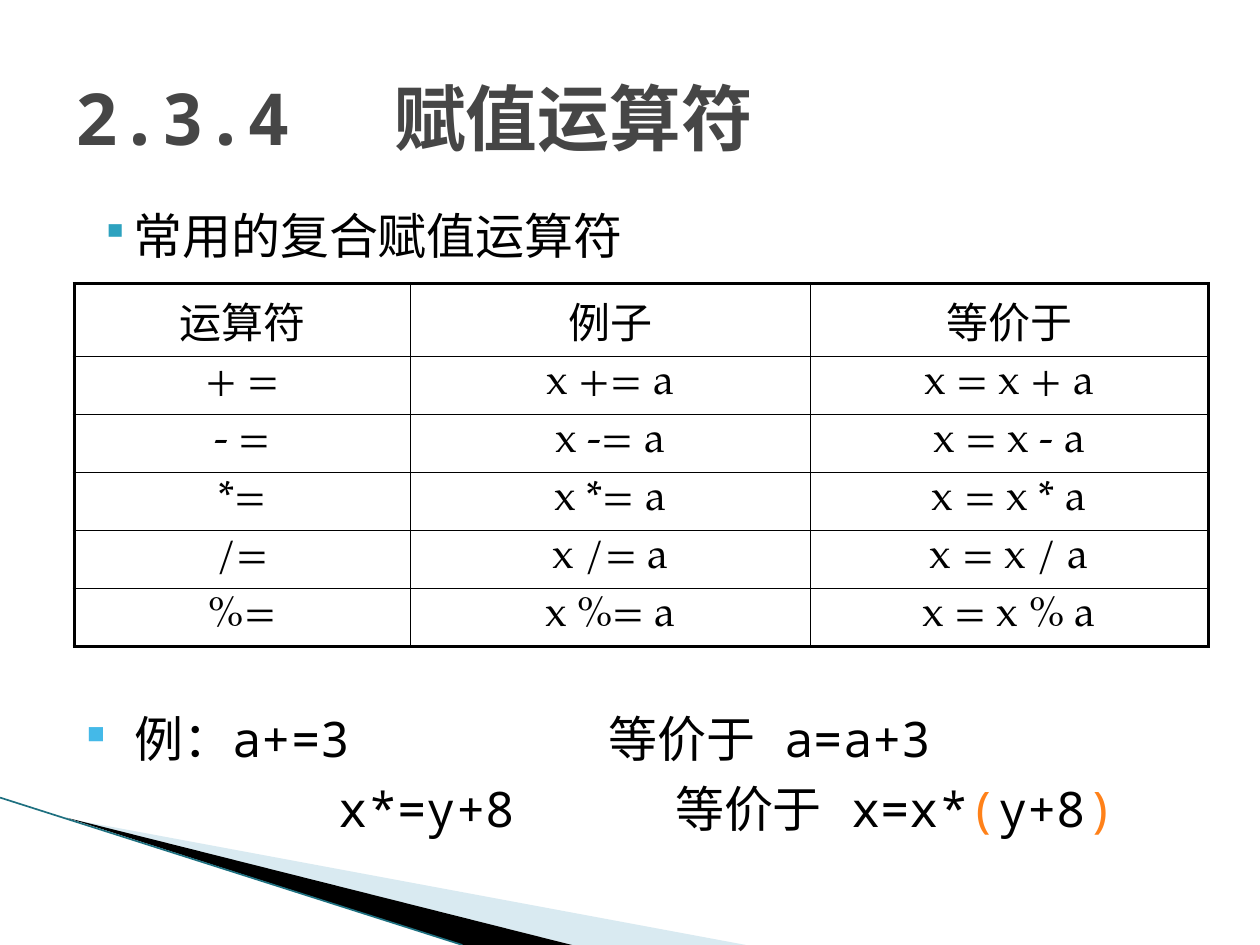
from lxml import etree
from pptx import Presentation
from pptx import util as u
from pptx.dml.color import RGBColor
from pptx.enum import shapes, text
from pptx.oxml import ns

WIDTH, HEIGHT = 10, 7.5
BLACK = RGBColor(0x00, 0x00, 0x00)
GREY = RGBColor(0x46, 0x46, 0x46)
TEAL = RGBColor(0x2D, 0xA2, 0xBF)
SKY = RGBColor(0x44, 0xB9, 0xE8)
ORANGE = RGBColor(0xFF, 0x81, 0x19)
PALE_BLUE = RGBColor(0xA0, 0xCB, 0xDC)
EDGE_TEAL = RGBColor(0x1E, 0x70, 0x80)
MONO, SANS, SERIF = "Noto Sans Mono", "Noto Sans CJK SC", "TeX Gyre Pagella"

HEADINGS = ["运算符", "例子", "等价于"]
OPERATORS = ["+", "-", "*", "/", "%"]
COLUMNS = [2.67, 3.17, 3.16]
HEADER_ROW, BODY_ROW = 0.58, 0.46
THICK, THIN = 2.25, 0.75


def add_xml(parent, tag, **attributes):
    return etree.SubElement(parent, ns.qn(tag), attributes)


def add_span(para, words, font, size, color=BLACK, bold=False, asian=None):
    span = para.add_run()
    span.text = words
    span.font.name, span.font.size = font, u.Pt(size)
    span.font.bold, span.font.color.rgb = bold, color
    add_xml(span._r.get_or_add_rPr(), "a:ea", typeface=asian or font)


def add_box(page, left, top, width, height, anchor=text.MSO_ANCHOR.TOP):
    box = page.shapes.add_textbox(*map(u.Inches, (left, top, width, height)))
    frame = box.text_frame
    frame.word_wrap, frame.vertical_anchor = True, anchor
    return frame


def set_indent(para, margin, first=0):
    props = para._p.get_or_add_pPr()
    props.set("marL", str(u.Inches(margin)))
    props.set("indent", str(u.Inches(first)))


def add_bullet(para, mark, color, percent):
    props = para._p.get_or_add_pPr()
    add_xml(add_xml(props, "a:buClr"), "a:srgbClr", val=str(color))
    add_xml(props, "a:buSzPct", val=str(percent * 1000))
    add_xml(props, "a:buChar", char=mark)


def add_tab_stop(para, position):
    stops = add_xml(para._p.get_or_add_pPr(), "a:tabLst")
    add_xml(stops, "a:tab", pos=str(u.Inches(position)), algn="l")


def add_wedge(page, points, color, alpha=100):
    corners = [(u.Inches(x), u.Inches(y)) for x, y in points]
    builder = page.shapes.build_freeform(*corners[0])
    builder.add_line_segments(corners[1:], close=True)
    wedge = builder.convert_to_shape()
    wedge.shadow.inherit = False
    wedge.line.fill.background()
    wedge.fill.solid()
    wedge.fill.fore_color.rgb = color
    if alpha < 100:
        tint = wedge._element.spPr.find(".//" + ns.qn("a:srgbClr"))
        add_xml(tint, "a:alpha", val=str(alpha * 1000))


def add_edge(page, start, end, color, weight):
    ends = map(u.Inches, (*start, *end))
    edge = page.shapes.add_connector(shapes.MSO_CONNECTOR.STRAIGHT, *ends)
    edge.line.color.rgb, edge.line.width = color, u.Pt(weight)
    add_xml(edge._element.spPr, "a:effectLst")


def set_borders(cell, weights):
    """Draw the left, right, top and bottom borders, ahead of the fill."""
    props = cell._tc.get_or_add_tcPr()
    for place, (side, weight) in enumerate(zip("LRTB", weights)):
        line = etree.Element(ns.qn("a:ln" + side), w=str(u.Pt(weight)))
        add_xml(add_xml(line, "a:solidFill"), "a:srgbClr", val=str(BLACK))
        props.insert(place, line)


def add_operator_table(page, left, top):
    rows = [HEADINGS]
    for sign in OPERATORS:
        short = f"{sign} =" if sign in "+-" else f"{sign}="
        rows.append([short, f"x {sign}= a", f"x = x {sign} a"])
    heights = [HEADER_ROW] + [BODY_ROW] * len(OPERATORS)
    area = map(u.Inches, (left, top, sum(COLUMNS), sum(heights)))
    table = page.shapes.add_table(len(rows), len(COLUMNS), *area).table
    table.first_row = table.horz_banding = False
    for column, width in zip(table.columns, COLUMNS):
        column.width = u.Inches(width)
    for r, (row, height) in enumerate(zip(rows, heights)):
        table.rows[r].height = u.Inches(height)
        for c, words in enumerate(row):
            cell = table.cell(r, c)
            cell.vertical_anchor = text.MSO_ANCHOR.MIDDLE
            cell.margin_top = cell.margin_bottom = u.Inches(0.02)
            para = cell.text_frame.paragraphs[0]
            para.alignment = text.PP_ALIGN.CENTER
            add_span(para, words, SERIF, 24, asian=SANS)
            cell.fill.background()
            outer = (c == 0, c == len(row) - 1, r == 0, r == len(rows) - 1)
            set_borders(cell, [THICK if edge else THIN for edge in outer])


def add_example_column(page, left, top, width, lines, second_indent):
    """Set two lines of spans, the second one further in."""
    frame = add_box(page, left, top, width, 1.3)
    first, second = frame.paragraphs[0], frame.add_paragraph()
    set_indent(second, second_indent)
    first.space_before = u.Pt(2)
    for para, spans in zip((first, second), lines):
        para.line_spacing = 1.2
        for words, color in spans:
            add_span(para, words, MONO, 28, color)
    return first


def add_examples(page, top):
    short = [[("例：a+=3", BLACK)], [("x*=y+8", BLACK)]]
    full = [[("等价于 a=a+3", BLACK)],
            [("等价于 x=x*", BLACK), ("(", ORANGE), ("y+8", BLACK), (")", ORANGE)]]
    first = add_example_column(page, 0.59, top, 4.12, short, 2)
    set_indent(first, 0.38, -0.38)
    add_bullet(first, "■", SKY, 50)
    add_example_column(page, 4.73, top, 4.8, full, 0.53)


def main():
    deck = Presentation()
    deck.slide_width, deck.slide_height = u.Inches(WIDTH), u.Inches(HEIGHT)
    page = deck.slides.add_slide(deck.slide_layouts[6])

    # Corner decoration
    add_wedge(page, [(0.55, 6.5), (5.92, HEIGHT), (4.54, HEIGHT)], PALE_BLUE, 40)
    add_wedge(page, [(0.53, 6.49), (4.54, HEIGHT), (3.67, HEIGHT)], BLACK)
    add_edge(page, (0, 6.33), (3.67, HEIGHT), EDGE_TEAL, 0.95)

    # Title
    title = add_box(page, 0.5, 0.3, 9, 1.25, text.MSO_ANCHOR.MIDDLE).paragraphs[0]
    add_tab_stop(title, 2.53)
    add_span(title, "2.3.4\t赋值运算符", MONO, 41, GREY, bold=True)

    # Table and its lead-in
    add_operator_table(page, 0.59, 2.25)
    lead = add_box(page, 0.7, 1.58, 8.92, 0.57).paragraphs[0]
    lead.space_before = u.Pt(4)
    set_indent(lead, 0.26, -0.26)
    add_bullet(lead, "▪", TEAL, 80)
    add_span(lead, "常用的复合赋值运算符", SANS, 28)

    add_examples(page, 5.48)
    deck.save("out.pptx")


if __name__ == "__main__":
    main()
